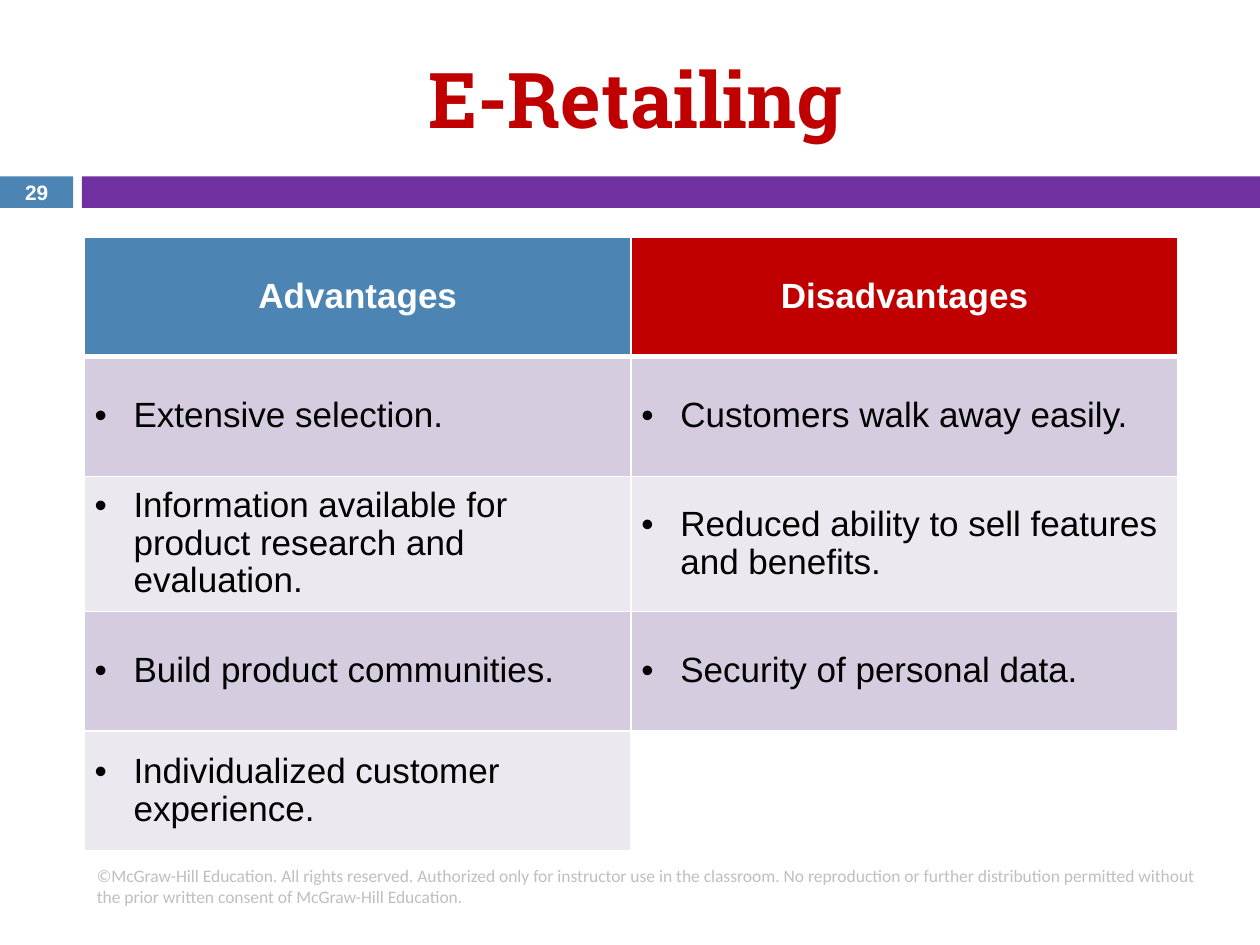
"""Builds the E-Retailing slide with its table of advantages and disadvantages."""
from lxml import etree
from pptx import Presentation
from pptx.dml.color import RGBColor
from pptx.enum.shapes import MSO_SHAPE
from pptx.enum.text import MSO_ANCHOR, PP_ALIGN
from pptx.oxml.ns import qn
from pptx.util import Inches, Pt

RECTANGLE = MSO_SHAPE.RECTANGLE
MIDDLE = MSO_ANCHOR.MIDDLE
LEFT, CENTER = PP_ALIGN.LEFT, PP_ALIGN.CENTER
TITLE_ONLY = 5
COLUMNS, ROWS = 10, 7.5
BLUE, RED, PURPLE, WHITE, BLACK = "4C85B4", "C00000", "7030A0", "FFFFFF", "000000"
BANDS = ("D5CDDF", "EBE8F0")
INDENT = 0.31

HEADINGS = (("Advantages", BLUE), ("Disadvantages", RED))
POINTS = (
    ("Extensive selection.", "Customers walk away easily."),
    ("Information available for product research and evaluation.",
     "Reduced ability to sell features and benefits."),
    ("Build product communities.", "Security of personal data."),
    ("Individualized customer experience.", ""),
)
COPYRIGHT = ("©McGraw-Hill Education. All rights reserved. Authorized only for instructor "
             "use in the classroom. No reproduction or further distribution permitted "
             "without the prior written consent of McGraw-Hill Education.")


def color(value):
    """Return the colour of a hex string."""
    return RGBColor.from_string(value)


def format_with(target, formats):
    """Set every attribute named in a dict of format values."""
    for name, value in formats.items():
        setattr(target, name, value)


class SlideBuilder:
    """Holds the style and the current slide."""

    def __init__(self, deck):
        """Set the slide size and add a title-only slide."""
        deck.slide_width, deck.slide_height = Inches(COLUMNS), Inches(ROWS)
        self.unit = deck.slide_width / COLUMNS
        self.page = deck.slides.add_slide(deck.slide_layouts[TITLE_ONLY])
        self.title_font = {"name": "Roboto Slab", "size": Pt(44), "bold": True}
        self.number_font = {"name": "Arial", "size": Pt(11.9), "bold": True}
        self.notice_font = {"name": "Calibri", "size": Pt(10), "bold": False}
        self.head_font = {"name": "Arial", "size": Pt(20), "bold": True}
        self.body_font = {**self.head_font, "bold": False}

    def place(self, *grid):
        """Turn grid columns and rows into lengths."""
        return [round(value * self.unit) for value in grid]

    def add_text(self, frame, text, font, ink, align=LEFT):
        """Put one formatted paragraph in a text frame."""
        para = frame.paragraphs[0]
        para.alignment = align
        span = para.add_run()
        span.text = text
        format_with(span.font, font)
        span.font.color.rgb = color(ink)

    def title(self, text, grid):
        """Move and format the title placeholder."""
        box = self.page.shapes.title
        format_with(box, dict(zip(("left", "top", "width", "height"), self.place(*grid))))
        format_with(box.text_frame, {"vertical_anchor": MIDDLE, "word_wrap": True})
        self.add_text(box.text_frame, text, self.title_font, RED, CENTER)

    def bar(self, grid, fill):
        """Add a plain filled rectangle."""
        shape = self.page.shapes.add_shape(RECTANGLE, *self.place(*grid))
        shape.shadow.inherit = False
        shape.fill.solid()
        shape.fill.fore_color.rgb = color(fill)
        shape.line.fill.background()

    def label(self, text, grid, font, ink, align=LEFT):
        """Add a wrapping text box."""
        box = self.page.shapes.add_textbox(*self.place(*grid))
        format_with(box.text_frame, {"vertical_anchor": MIDDLE, "word_wrap": True})
        self.add_text(box.text_frame, text, font, ink, align)

    def bullet(self, para):
        """Give a paragraph a hanging bullet."""
        properties = para._p.get_or_add_pPr()
        indent = Inches(INDENT)
        properties.set("marL", str(indent))
        properties.set("indent", str(-indent))
        etree.SubElement(properties, qn("a:buFont")).set("typeface", "Arial")
        etree.SubElement(properties, qn("a:buChar")).set("char", "•")
        para.line_spacing = 0.97

    def borders(self, cell, top, bottom):
        """Draw white cell borders of the given widths in points."""
        properties = cell._tc.get_or_add_tcPr()
        for side, width in (("L", 1), ("R", 1), ("T", top), ("B", bottom)):
            line = etree.SubElement(properties, qn(f"a:ln{side}"), w=str(Pt(width)))
            fill = etree.SubElement(line, qn("a:solidFill"))
            etree.SubElement(fill, qn("a:srgbClr"), val=WHITE)

    def cell(self, cell, fill, top=1, bottom=1):
        """Set the borders, margins and fill of a cell."""
        self.borders(cell, top, bottom)
        margins = {"margin_left": Inches(0.08), "margin_right": Inches(0.08)}
        format_with(cell, {"vertical_anchor": MIDDLE, **margins})
        if fill:
            cell.fill.solid()
            cell.fill.fore_color.rgb = color(fill)
        else:
            cell.fill.background()

    def table(self, headings, points, grid):
        """Add a table with coloured headings and banded bullet rows."""
        size = len(points) + 1, len(headings)
        table = self.page.shapes.add_table(*size, *self.place(*grid)).table
        format_with(table, {"first_row": False, "horz_banding": False})
        for column, (text, fill) in enumerate(headings):
            cell = table.cell(0, column)
            self.cell(cell, fill, bottom=3)
            self.add_text(cell.text_frame, text, self.head_font, WHITE, CENTER)
        for row, texts in enumerate(points, 1):
            for column, text in enumerate(texts):
                cell = table.cell(row, column)
                band = BANDS[(row - 1) % len(BANDS)] if text else None
                self.cell(cell, band, top=3 if row == 1 else 1)
                if text:
                    self.bullet(cell.text_frame.paragraphs[0])
                    self.add_text(cell.text_frame, text, self.body_font, BLACK)


def main():
    """Build and save the deck."""
    deck = Presentation()
    slide = SlideBuilder(deck)
    slide.bar((0, 1.4, 0.58, 0.25), BLUE)
    slide.bar((0.65, 1.4, COLUMNS - 0.65, 0.25), PURPLE)
    slide.title("E-Retailing", (0.58, 0.3, 8.92, 0.95))
    slide.label("29", (0, 1.39, 0.58, 0.27), slide.number_font, WHITE, CENTER)
    slide.label(COPYRIGHT, (0.67, 6.83, 8.92, 0.4), slide.notice_font, "BFBFBF")
    slide.table(HEADINGS, POINTS, (0.67, 1.88, 8.68, 4.75))
    deck.save("out.pptx")


if __name__ == "__main__":
    main()
